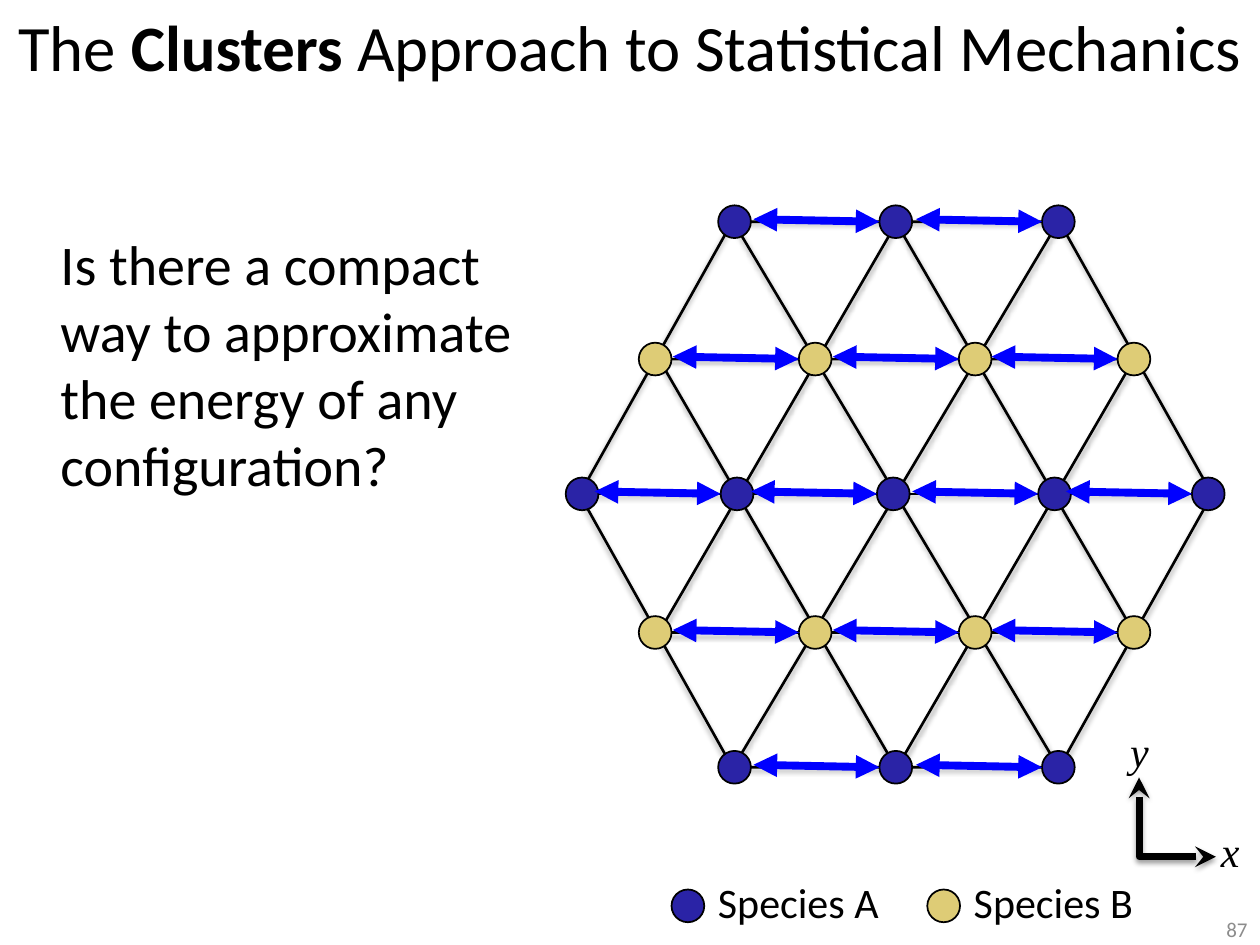
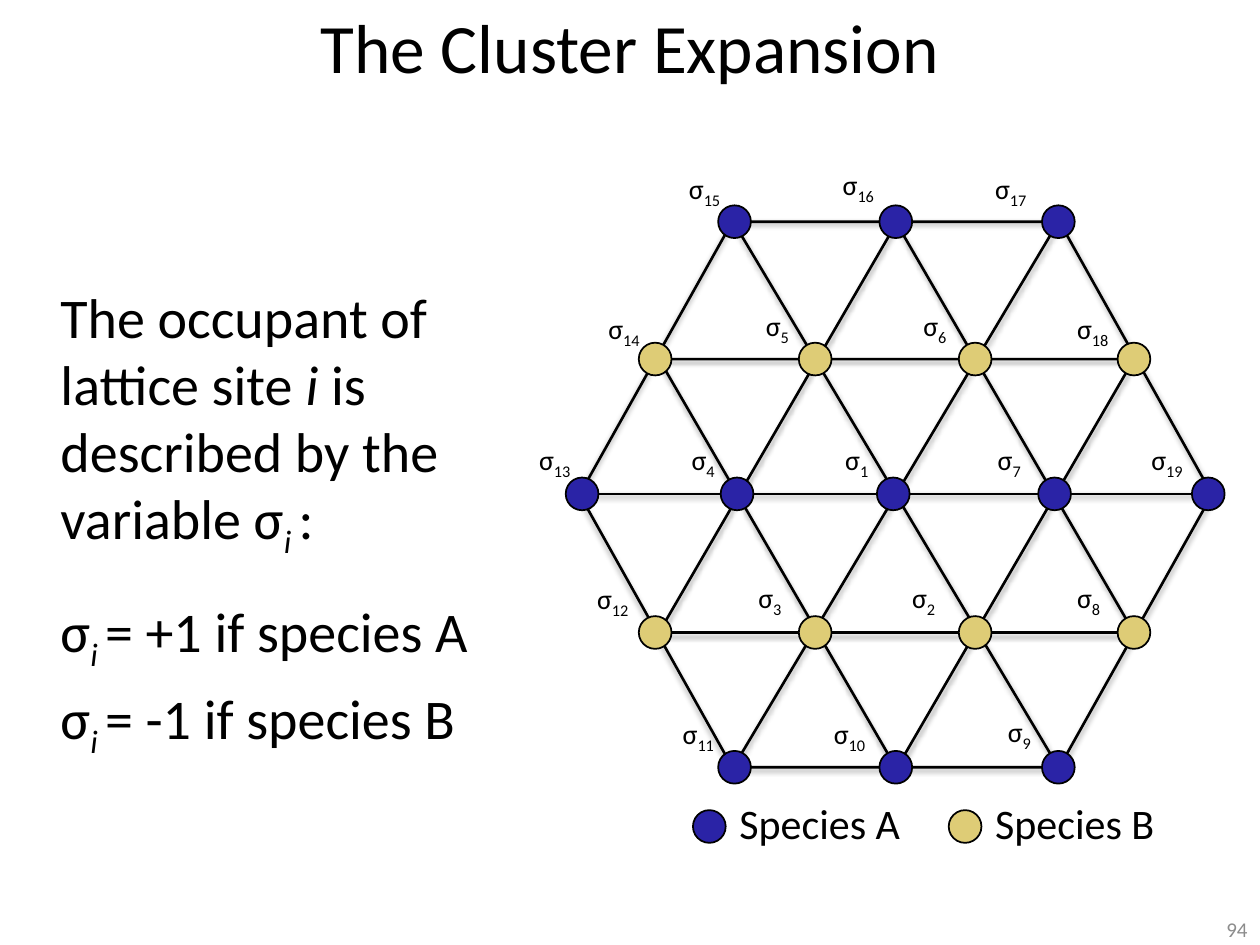
from lxml import etree
from pptx import Presentation
from pptx.dml.color import RGBColor
from pptx.enum.shapes import MSO_CONNECTOR, MSO_SHAPE
from pptx.enum.text import MSO_ANCHOR, PP_ALIGN
from pptx.oxml.ns import qn
from pptx.util import Inches, Pt

STRAIGHT = MSO_CONNECTOR.STRAIGHT
OVAL, HEXAGON, TRIANGLE = MSO_SHAPE.OVAL, MSO_SHAPE.HEXAGON, MSO_SHAPE.ISOSCELES_TRIANGLE
TOP, MIDDLE = MSO_ANCHOR.TOP, MSO_ANCHOR.MIDDLE
LEFT, CENTER, RIGHT = PP_ALIGN.LEFT, PP_ALIGN.CENTER, PP_ALIGN.RIGHT

BLACK = RGBColor(0x00, 0x00, 0x00)
GRAY = RGBColor(0x8C, 0x8C, 0x8C)
SPECIES_A = RGBColor(0x2A, 0x23, 0xA6)
SPECIES_B = RGBColor(0xDE, 0xCC, 0x76)
BOND_BLUE = RGBColor(0x00, 0x00, 0xFF)

BODY_FONT, AXIS_FONT = "Calibri", "Times New Roman"
SITE_SIZE = 0.26
RADIUS = SITE_SIZE / 2
LATTICE_LEFT, LATTICE_TOP = 4.49, 1.63

# Site centres relative to the lattice box: row height, columns, species
OUTER_COLUMNS = (1.34, 2.62, 3.91)
INNER_COLUMNS = (0.71, 1.98, 3.25, 4.51)
MIDDLE_COLUMNS = (0.13, 1.36, 2.6, 3.88, 5.1)
SITE_ROWS = [
    (0.13, OUTER_COLUMNS, SPECIES_A),
    (1.22, INNER_COLUMNS, SPECIES_B),
    (2.29, MIDDLE_COLUMNS, SPECIES_A),
    (3.39, INNER_COLUMNS, SPECIES_B),
    (4.46, OUTER_COLUMNS, SPECIES_A),
]

# Site number and label corner relative to the lattice box
SITE_LABELS = [
    (15, 0.88, -0.32), (16, 2.1, -0.35), (17, 3.31, -0.32),
    (14, 0.24, 0.79), (5, 1.49, 0.77), (6, 2.74, 0.77), (18, 3.96, 0.79),
    (13, -0.31, 1.83), (4, 0.9, 1.83), (1, 2.12, 1.83), (7, 3.33, 1.83), (19, 4.55, 1.83),
    (12, 0.15, 2.94), (3, 1.43, 2.93), (2, 2.65, 2.93), (8, 3.96, 2.93),
    (11, 0.83, 4.01), (10, 2.03, 4.01), (9, 3.41, 3.99),
]


def add_text(slide, box, paragraphs, size, color=BLACK, font=BODY_FONT,
             align=LEFT, anchor=TOP, wrap=True):
    """Each paragraph is a list of (text, style); style letters: b, i, s (subscript)."""
    shape = slide.shapes.add_textbox(*[Inches(value) for value in box])
    frame = shape.text_frame
    frame.word_wrap = wrap
    frame.vertical_anchor = anchor
    for index, pieces in enumerate(paragraphs):
        paragraph = frame.add_paragraph() if index else frame.paragraphs[0]
        paragraph.alignment = align
        for text, style in pieces:
            run = paragraph.add_run()
            run.text = text
            run.font.name, run.font.size = font, Pt(size)
            run.font.color.rgb = color
            run.font.bold, run.font.italic = "b" in style, "i" in style
            if "s" in style:
                run._r.get_or_add_rPr().set("baseline", "-25000")
    return frame


def set_effects(shape, shadow):
    """Replace the theme shadow by a soft drop shadow or by none."""
    effects = etree.SubElement(shape._element.spPr, qn("a:effectLst"))
    if shadow:
        outer = etree.SubElement(effects, qn("a:outerShdw"), blurRad=str(Pt(3.1)),
                                 dist=str(Pt(1.6)), dir="5400000", rotWithShape="0")
        tint = etree.SubElement(outer, qn("a:srgbClr"), val=str(BLACK))
        etree.SubElement(tint, qn("a:alpha"), val="38000")


def set_line(shape, color, width, arrow=None, shadow=False):
    shape.line.color.rgb = color
    shape.line.width = Pt(width)
    if arrow:
        for end in ("a:headEnd", "a:tailEnd"):
            etree.SubElement(shape.line._get_or_add_ln(), qn(end), type=arrow)
    set_effects(shape, shadow)


def add_line(slide, start, end, color, width, **options):
    connector = slide.shapes.add_connector(
        STRAIGHT, *[Inches(value) for value in (*start, *end)])
    set_line(connector, color, width, **options)


def add_outline(slide, kind, left, top, width, height):
    shape = slide.shapes.add_shape(
        kind, Inches(left), Inches(top), Inches(width), Inches(height))
    shape.fill.background()
    set_line(shape, BLACK, 1.5, shadow=True)
    return shape


def add_site(slide, left, top, color):
    site = slide.shapes.add_shape(
        OVAL, Inches(left), Inches(top), Inches(SITE_SIZE), Inches(SITE_SIZE))
    site.fill.solid()
    site.fill.fore_color.rgb = color
    set_line(site, BLACK, 1)


def add_frame(slide, title, title_size, number):
    """Title and page number."""
    frame = add_text(slide, (0, 0.02, 10, 0.69), [title], title_size,
                     align=CENTER, anchor=MIDDLE)
    frame.margin_left = frame.margin_right = 0
    add_text(slide, (7.92, 7.25, 2.08, 0.25), [[(number, "")]], 12, GRAY,
             align=RIGHT, anchor=MIDDLE)


def add_body(slide, top, paragraphs):
    frame = add_text(slide, (0, top, 4.25, 4.1), paragraphs, 32)
    frame.margin_left = Inches(0.48)
    return frame


def add_lattice(slide, left, top):
    # Diagonals and middle row
    for x1, y1, x2, y2 in ((1.33, 0.13, 3.91, 4.46), (3.91, 0.13, 1.33, 4.46),
                           (0.11, 2.29, 5.13, 2.29)):
        add_line(slide, (left + x1, top + y1), (left + x2, top + y2),
                 BLACK, 1.5, shadow=True)
    # Outer hexagon and the two triangles inside it
    hexagon = add_outline(slide, HEXAGON, left + 0.11, top + 0.13, 5.02, 4.33)
    hexagon.adjustments[0] = 0.28
    add_outline(slide, TRIANGLE, left + 0.74, top + 0.14, 3.77, 3.25)
    add_outline(slide, TRIANGLE, left + 0.74, top + 1.22, 3.77, 3.25).rotation = 180
    # Sites
    for y, columns, color in SITE_ROWS:
        for x in columns:
            add_site(slide, left + x - RADIUS, top + y - RADIUS, color)


def add_bond_arrows(slide, left, top):
    """One arrow to the left of every site that has a left neighbour."""
    for y, columns, _ in SITE_ROWS:
        for x in columns[1:]:
            right_end = left + x - RADIUS
            add_line(slide, (right_end, top + y), (right_end - 1, top + y - 0.02),
                     BOND_BLUE, 4.5, arrow="triangle")


def add_site_labels(slide, left, top):
    for number, x, y in SITE_LABELS:
        add_text(slide, (left + x, top + y, 0.54, 0.6),
                 [[("σ", ""), (str(number), "s")]], 16, wrap=False)


def add_legend(slide, left, top):
    entries = (("Species A", SPECIES_A), ("Species B", SPECIES_B))
    for index, (name, color) in enumerate(entries):
        x = left + 2.03 * index
        add_text(slide, (x + 0.27, top, 1.93, 0.5), [[(name, "")]], 24)
        add_site(slide, x, top + 0.15, color)


def add_axes(slide, left, top):
    x, y = left + 0.17, top + 0.46
    corner_y, end_x = y + 0.63, x + 0.61
    builder = slide.shapes.build_freeform(Inches(x), Inches(y))
    builder.add_line_segments([(Inches(x), Inches(corner_y)),
                               (Inches(end_x), Inches(corner_y))], close=False)
    axes = builder.convert_to_shape()
    axes.fill.background()
    set_line(axes, BLACK, 4, arrow="stealth", shadow=True)
    for name, label_x, label_y in (("x", left + 0.72, top + 0.79), ("y", left, top)):
        add_text(slide, (label_x, label_y, 0.29, 0.5), [[(name, "i")]], 24,
                 font=AXIS_FONT, wrap=False)


def build_clusters_slide(slide):
    add_lattice(slide, LATTICE_LEFT, LATTICE_TOP)
    add_frame(slide, [("The ", ""), ("Clusters", "b"),
                      (" Approach to Statistical Mechanics", "")], 37, "87")
    add_body(slide, 1.77, [[(
        "Is there a compact way to approximate the energy of any configuration?", "")]])
    add_bond_arrows(slide, LATTICE_LEFT, LATTICE_TOP)
    add_legend(slide, 5.33, 6.91)
    add_axes(slide, 8.87, 5.71)


def build_expansion_slide(slide):
    add_frame(slide, [("The Cluster Expansion", "")], 39.6, "94")
    variable = [("σ", ""), ("i ", "is")]
    frame = add_body(slide, 2.19, [
        [("The occupant of lattice site ", ""), ("i", "i"),
         (" is described by the variable ", ""), *variable, (":", "")],
        [*variable, ("= +1 if species A", "")],
        [*variable, ("= -1 if species B", "")],
    ])
    for paragraph, space in zip(frame.paragraphs[1:], (20.5, 6.4)):
        paragraph.space_before = Pt(space)
    add_site_labels(slide, LATTICE_LEFT, LATTICE_TOP)
    add_lattice(slide, LATTICE_LEFT, LATTICE_TOP)
    add_legend(slide, 5.5, 6.28)


def main():
    presentation = Presentation()
    presentation.slide_width, presentation.slide_height = Inches(10), Inches(7.5)
    blank = presentation.slide_layouts[6]
    for build in (build_clusters_slide, build_expansion_slide):
        build(presentation.slides.add_slide(blank))
    presentation.save("out.pptx")


if __name__ == "__main__":
    main()
